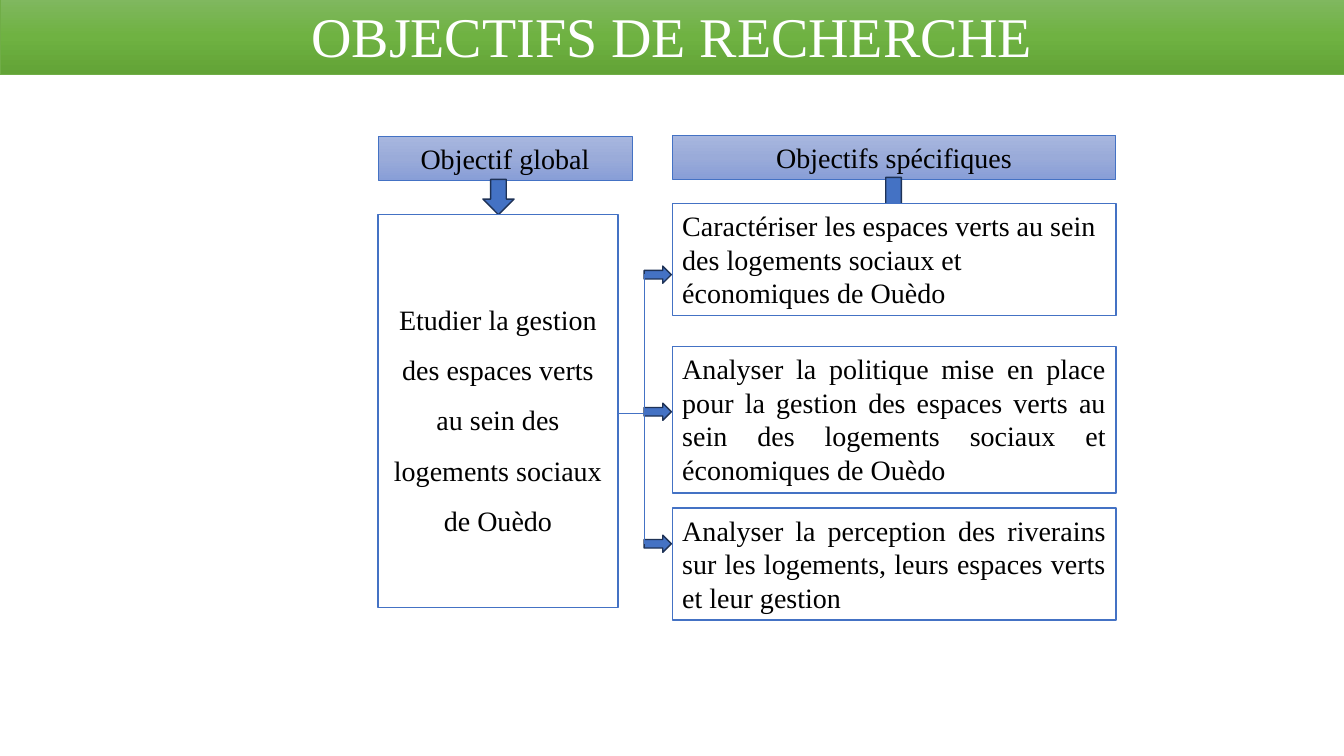
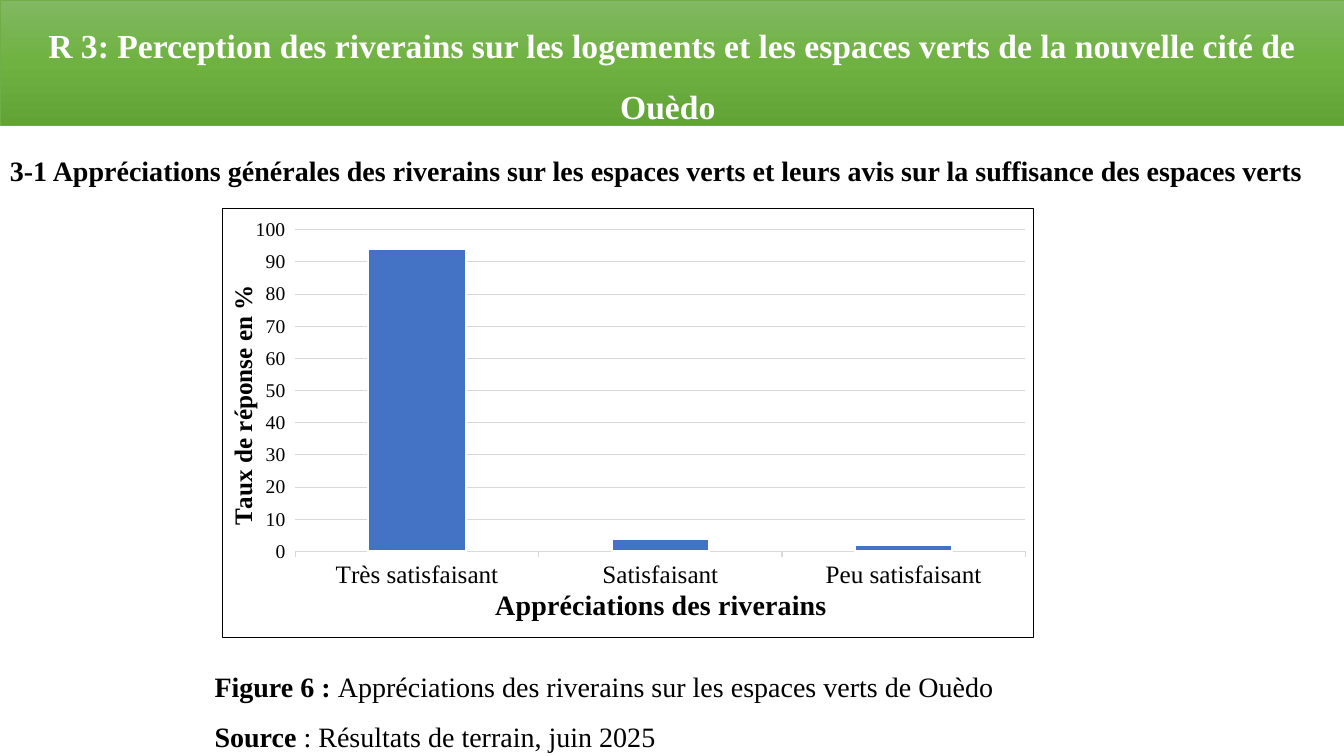
from copy import deepcopy
from dataclasses import dataclass
from typing import Any, Optional

from lxml.etree import SubElement
from pptx import Presentation
from pptx.chart.axis import _BaseAxis
from pptx.chart.chart import Chart
from pptx.chart.data import CategoryChartData
from pptx.dml.color import RGBColor
from pptx.enum.chart import XL_CHART_TYPE, XL_TICK_MARK
from pptx.enum.shapes import MSO_CONNECTOR, MSO_SHAPE
from pptx.enum.text import MSO_ANCHOR, PP_ALIGN
from pptx.oxml import parse_xml
from pptx.oxml.ns import nsdecls, qn
from pptx.slide import Slide
from pptx.text.text import TextFrame
from pptx.util import Inches, Length, Pt


@dataclass(frozen=True)
class Theme:
    font: str = "Times New Roman"
    white: str = "FFFFFF"
    black: str = "000000"
    blue: str = "4472C4"
    navy: str = "1E3256"
    green: str = "70AD47"
    grid: str = "D9D9D9"
    band: tuple[str, ...] = ("81B861", "6FB242", "62A336")
    header: tuple[str, ...] = ("A8B7DF", "9AABD9", "889ED7")
    title_size: int = 40
    subtitle_size: int = 24
    body_size: int = 20
    label_size: int = 18
    value_size: int = 14
    chart_size: int = 10
    thin: float = 0.5
    axis_line: float = 0.75
    line: float = 1
    bar_line: float = 1.5


THEME = Theme()
COLUMNS, ROWS = 133.33, 75
CELL = Inches(0.1)


@dataclass(frozen=True)
class Area:
    column: float
    row: float
    width: float
    height: float

    def lengths(self) -> tuple[Length, ...]:
        return tuple(cells(n) for n in (self.column, self.row, self.width, self.height))


@dataclass(frozen=True)
class Run:
    text: str
    size: int = THEME.body_size
    color: str = THEME.black
    bold: bool = False


@dataclass(frozen=True)
class Block:
    area: Area
    paragraphs: tuple[tuple[Run, ...], ...] = ()
    fill: tuple[str, ...] = ()
    line: str = THEME.blue
    weight: float = THEME.line
    preset: MSO_SHAPE = MSO_SHAPE.RECTANGLE
    anchor: MSO_ANCHOR = MSO_ANCHOR.TOP
    format: Optional[dict[str, Any]] = None


@dataclass(frozen=True)
class Goal:
    row: float
    height: float
    arrow_row: float
    alignment: PP_ALIGN
    text: str


CENTERED = {"alignment": PP_ALIGN.CENTER}
HEADING = {"line_spacing": 1.5, "space_before": Pt(8), "space_after": Pt(4)}
CAPTION = {"alignment": PP_ALIGN.JUSTIFY, "line_spacing": 1.15, "space_after": Pt(8)}

LEFT, LEFT_WIDTH = 37.5, 23.8
RIGHT, RIGHT_WIDTH = 66.7, 44
TRUNK, TRUNK_ROW = 63.9, 41
GOALS = (
    Goal(20.2, 11.1, 26.4, PP_ALIGN.LEFT,
         "Caractériser les espaces verts au sein des logements sociaux et économiques de Ouèdo"),
    Goal(34.4, 14.5, 40, PP_ALIGN.JUSTIFY,
         "Analyser la politique mise en place pour la gestion des espaces verts "
         "au sein des logements sociaux et économiques de Ouèdo"),
    Goal(50.4, 11.1, 53.1, PP_ALIGN.JUSTIFY,
         "Analyser la perception des riverains sur les logements, "
         "leurs espaces verts et leur gestion"),
)
RATINGS = {"Très satisfaisant": 94, "Satisfaisant": 4, "Peu satisfaisant": 2}


def cells(count: float) -> Length:
    return Length(round(count * CELL))


def rgb(color: str) -> RGBColor:
    return RGBColor.from_string(color)


def assign(target: Any, values: dict[str, Any]) -> None:
    for name, value in values.items():
        setattr(target, name, value)


def style_font(font: Any, size: int, color: str = THEME.black, bold: bool = False) -> None:
    assign(font, {"name": THEME.font, "size": Pt(size), "bold": bold})
    font.color.rgb = rgb(color)


def style_line(line: Any, color: str, weight: float) -> None:
    line.color.rgb = rgb(color)
    line.width = Pt(weight)


def fill_shape(shape: Any, colors: tuple[str, ...]) -> None:
    if len(colors) == 1:
        shape.fill.solid()
        shape.fill.fore_color.rgb = rgb(colors[0])
        return
    shape.fill.gradient()
    shape.fill.gradient_angle = 270
    first = shape.element.xpath(".//a:gsLst/a:gs")[0]
    first.addnext(deepcopy(first))
    for index, (stop, color) in enumerate(zip(shape.fill.gradient_stops, colors)):
        stop.color.rgb = rgb(color)
        stop.position = index / (len(colors) - 1)


def write(frame: TextFrame, block: Block) -> None:
    assign(frame, {"word_wrap": True, "vertical_anchor": block.anchor})
    for index, runs in enumerate(block.paragraphs):
        paragraph = frame.add_paragraph() if index else frame.paragraphs[0]
        assign(paragraph, block.format or {})
        for part in runs:
            run = paragraph.add_run()
            run.text = part.text
            style_font(run.font, part.size, part.color, part.bold)


def draw(slide: Slide, block: Block) -> None:
    if block.fill:
        shape = slide.shapes.add_shape(block.preset, *block.area.lengths())
        shape.shadow.inherit = False
        fill_shape(shape, block.fill)
        style_line(shape.line, block.line, block.weight)
    else:
        shape = slide.shapes.add_textbox(*block.area.lengths())
    if block.paragraphs:
        write(shape.text_frame, block)


def draw_band(slide: Slide, row: float, height: float, title: Run,
              spacing: Optional[dict[str, Any]] = None) -> None:
    draw(slide, Block(Area(0, row, COLUMNS, height), ((title,),), THEME.band,
                      THEME.green, THEME.thin, format=CENTERED | (spacing or {})))


def draw_header(slide: Slide, area: Area, text: str) -> None:
    draw(slide, Block(area, ((Run(text),),), THEME.header,
                      weight=THEME.thin, format=CENTERED))


def draw_arrow(slide: Slide, preset: MSO_SHAPE, area: Area) -> None:
    draw(slide, Block(area, fill=(THEME.blue,), line=THEME.navy, preset=preset))


def draw_line(slide: Slide, *ends: float) -> None:
    connector = slide.shapes.add_connector(MSO_CONNECTOR.STRAIGHT, *map(cells, ends))
    style_line(connector.line, THEME.blue, THEME.thin)
    SubElement(connector.element.spPr, qn("a:effectLst"))


def set_layout(parent: Any, index: int, values: dict[str, Any]) -> None:
    for old in parent.findall(qn("c:layout")):
        parent.remove(old)
    layout = parse_xml(f"<c:layout {nsdecls('c')}/>")
    parent.insert(index, layout)
    manual = SubElement(layout, qn("c:manualLayout"))
    for name, value in values.items():
        SubElement(manual, qn(f"c:{name}")).set("val", str(value))


def style_axis(axis: _BaseAxis, title: str, title_size: int, label_size: int) -> None:
    axis.major_tick_mark = XL_TICK_MARK.OUTSIDE
    style_font(axis.tick_labels.font, label_size)
    frame = axis.axis_title.text_frame
    run = frame.paragraphs[0].add_run()
    run.text = title
    style_font(run.font, title_size, bold=True)


def frame_chart(chart: Chart) -> None:
    chart.element.find(qn("c:chart")).addnext(parse_xml(
        f"<c:spPr {nsdecls('c', 'a')}>"
        f'<a:solidFill><a:srgbClr val="{THEME.white}"/></a:solidFill>'
        f'<a:ln w="{Pt(THEME.line)}"><a:solidFill><a:srgbClr val="{THEME.black}"/>'
        "</a:solidFill></a:ln></c:spPr>"))


def place_chart_parts(chart: Chart) -> None:
    title_body = chart.element.xpath(".//c:valAx/c:title//a:bodyPr")[0]
    for name, setting in {"rot": "-5400000", "vert": "horz"}.items():
        title_body.set(name, setting)
    edges = {"xMode": "edge", "yMode": "edge"}
    set_layout(chart.element.xpath(".//c:plotArea")[0], 0,
               {"layoutTarget": "inner", **edges, "x": 0.09, "y": 0.05, "w": 0.9, "h": 0.75})
    for axis, x, y in (("catAx", 0.33, 0.87), ("valAx", 0, 0.17)):
        set_layout(chart.element.xpath(f".//c:{axis}/c:title")[0], 1,
                   {**edges, "x": x, "y": y})


def draw_chart(slide: Slide, area: Area) -> None:
    data = CategoryChartData()
    data.categories = list(RATINGS)
    data.add_series("Series 1", list(RATINGS.values()))
    chart = slide.shapes.add_chart(
        XL_CHART_TYPE.COLUMN_CLUSTERED, *area.lengths(), data).chart
    assign(chart, {"has_title": False, "has_legend": False})
    style_font(chart.font, THEME.chart_size)
    frame_chart(chart)

    plot = chart.plots[0]
    assign(plot, {"gap_width": 150, "vary_by_categories": False})
    series = plot.series[0]
    series.format.fill.solid()
    series.format.fill.fore_color.rgb = rgb(THEME.blue)
    style_line(series.format.line, THEME.white, THEME.bar_line)

    category, value = chart.category_axis, chart.value_axis
    style_axis(category, "Appréciations des riverains", THEME.body_size, THEME.label_size)
    style_axis(value, "Taux de réponse en %", THEME.label_size, THEME.value_size)
    assign(value, {"minimum_scale": 0, "maximum_scale": 100, "major_unit": 10})
    value.format.line.fill.background()
    for line in (category.format.line, value.major_gridlines.format.line):
        style_line(line, THEME.grid, THEME.axis_line)
    place_chart_parts(chart)


def build_objectives(slide: Slide) -> None:
    draw_band(slide, -0.3, 7.7,
              Run("OBJECTIFS DE RECHERCHE", THEME.title_size, THEME.white))
    draw_header(slide, Area(LEFT, 13.5, 25.2, 4.4), "Objectif global")
    draw_header(slide, Area(RIGHT, 13.4, RIGHT_WIDTH, 4.4), "Objectifs spécifiques")
    draw_arrow(slide, MSO_SHAPE.DOWN_ARROW, Area(47.9, 17.8, 3.1, 3.5))
    draw_arrow(slide, MSO_SHAPE.DOWN_ARROW, Area(87.1, 17.6, 3.1, 4.4))
    for goal in GOALS:
        draw(slide, Block(Area(RIGHT, goal.row, RIGHT_WIDTH, goal.height),
                          ((Run(goal.text),),), (THEME.white,),
                          format={"alignment": goal.alignment}))
    overall = "Etudier la gestion des espaces verts au sein des logements sociaux de Ouèdo"
    draw(slide, Block(Area(LEFT, 21.3, LEFT_WIDTH, 39), ((Run(overall),),), (THEME.white,),
                      preset=MSO_SHAPE.ACTION_BUTTON_CUSTOM, anchor=MSO_ANCHOR.MIDDLE,
                      format=CENTERED | {"line_spacing": 1.5}))
    for goal in GOALS:
        draw_arrow(slide, MSO_SHAPE.RIGHT_ARROW, Area(TRUNK, goal.arrow_row, 2.7, 1.7))
    draw_line(slide, TRUNK, 27.2, TRUNK, 54)
    draw_line(slide, LEFT + LEFT_WIDTH, TRUNK_ROW, TRUNK, TRUNK_ROW)


def build_perception(slide: Slide) -> None:
    draw_band(slide, 0, 12.4,
              Run("R 3: Perception des riverains sur les logements et les espaces verts "
                  "de la nouvelle cité de Ouèdo ", THEME.subtitle_size, THEME.white, True),
              HEADING)
    heading = Run("3-1 Appréciations générales des riverains sur les espaces verts et leurs "
                  "avis sur la suffisance des espaces verts", bold=True)
    draw(slide, Block(Area(0, 13.1, COLUMNS, 5.5), ((heading,),),
                      format=HEADING | {"alignment": PP_ALIGN.JUSTIFY}))
    draw_chart(slide, Area(22, 20.6, 80.6, 42.7))
    caption = (
        (Run("Figure 6 : ", bold=True),
         Run("Appréciations des riverains sur les espaces verts de Ouèdo")),
        (Run("Source ", bold=True), Run(": Résultats de terrain, juin 2025")),
    )
    draw(slide, Block(Area(20.3, 65.4, 80.6, 9.6), caption, format=CAPTION))


def main() -> None:
    presentation = Presentation()
    assign(presentation, {"slide_width": cells(COLUMNS), "slide_height": cells(ROWS)})
    for build in (build_objectives, build_perception):
        build(presentation.slides.add_slide(presentation.slide_layouts[6]))
    presentation.save("out.pptx")


if __name__ == "__main__":
    main()
